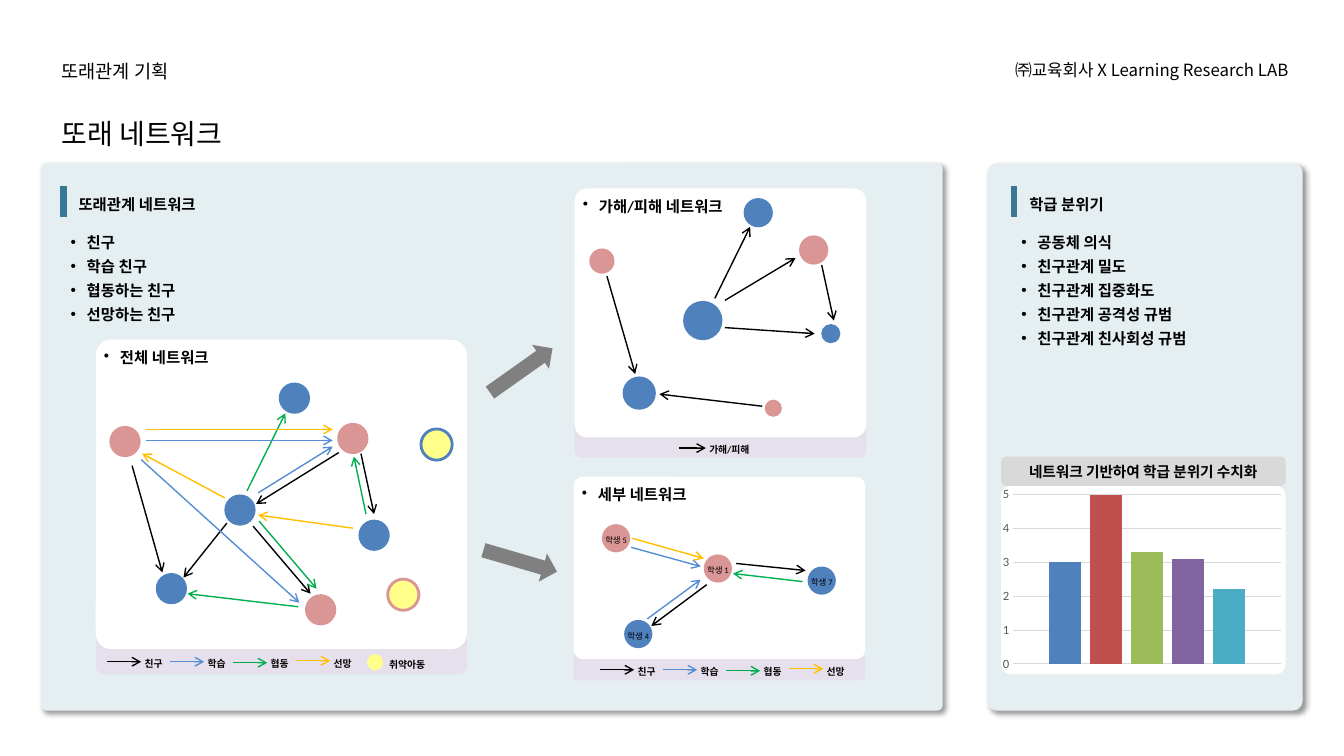
from dataclasses import dataclass

from lxml.etree import SubElement
from pptx import Presentation
from pptx.chart.data import CategoryChartData
from pptx.dml.color import RGBColor
from pptx.enum.chart import XL_CHART_TYPE as Chart, XL_TICK_MARK as Tick
from pptx.enum.shapes import MSO_CONNECTOR as Connector, MSO_SHAPE as Form
from pptx.enum.text import MSO_ANCHOR as Anchor, MSO_AUTO_SIZE as AutoSize, PP_ALIGN as Align
from pptx.oxml.ns import qn
from pptx.util import Inches, Pt


@dataclass(frozen=True)
class Theme:
    ink: str = "000000"
    panel: str = "E5EEF1"
    card: str = "FFFFFF"
    legend: str = "E6E0EC"
    accent: str = "387895"
    blue: str = "4F81BD"
    pink: str = "D99694"
    yellow: str = "FFFF89"
    gray: str = "808080"
    bar: str = "D9D9D9"
    axis: str = "595959"
    friend: str = "000000"
    study: str = "558ED5"
    help: str = "00B050"
    admire: str = "FFC000"
    series: tuple = ("4F81BD", "C0504D", "9BBB59", "8064A2", "4BACC6")
    font: str = "Calibri"
    korean: str = "Noto Sans CJK KR"
    title: float = 20
    section: float = 13.3
    credit: float = 12
    heading: float = 11
    caption: float = 10.5
    key: float = 7
    name: float = 6


THEME = Theme()
COLS, ROWS = 133.3, 75  # grid of 0.1 inch cells
CELL = Inches(0.1)
RELATIONS = [("친구", THEME.friend, 0), ("학습", THEME.study, 0),
             ("협동", THEME.help, 0.1), ("선망", THEME.admire, -0.1)]


def grid(*cells):
    return [round(cell * CELL) for cell in cells]


def rgb(color):
    return RGBColor.from_string(color)


def apply(target, formats):
    for name, value in formats.items():
        setattr(target, name, value)


def write(holder, lines, size, bold=False, font=THEME.font, align=Align.LEFT,
          anchor=Anchor.TOP, spacing=1.3, bullet=False, wrap=True):
    frame = holder.text_frame
    frame.text = "\n".join(lines)
    apply(frame, dict(margin_left=0, margin_right=0, margin_top=0, margin_bottom=0,
                      word_wrap=wrap, auto_size=AutoSize.NONE, vertical_anchor=anchor))
    for paragraph in frame.paragraphs:
        apply(paragraph, dict(alignment=align, line_spacing=spacing, space_before=Pt(0)))
        run = paragraph.runs[0]
        apply(run.font, dict(name=font, size=Pt(size), bold=bold))
        run.font.color.rgb = rgb(THEME.ink)
        SubElement(run.font._element, qn("a:ea"), typeface=THEME.korean)
        if bullet:
            props = paragraph._p.get_or_add_pPr()
            props.set("marL", str(Inches(0.16)))
            props.set("indent", str(-Inches(0.16)))
            SubElement(props, qn("a:buChar"), char="•")


def label(slide, box, text, size, **formats):
    write(slide.shapes.add_textbox(*grid(*box)), [text], size, **formats)


def fill_placeholder(slide, index, box, lines, size, **formats):
    holder = slide.placeholders[index]
    apply(holder, dict(zip(("left", "top", "width", "height"), grid(*box))))
    write(holder, lines, size, **formats)
    slide.shapes._spTree.append(holder._element)  # bring in front of the panel


def block(slide, form, box, fill=None, corner=None, outline=None, turn=0):
    item = slide.shapes.add_shape(form, *grid(*box))
    item.shadow.inherit = False
    item.rotation = turn
    if corner is not None:
        item.adjustments[0] = corner
    if fill:
        item.fill.solid()
        item.fill.fore_color.rgb = rgb(fill)
    else:
        item.fill.background()
    if outline:
        item.line.color.rgb = rgb(outline)
        item.line.width = Pt(2)
    else:
        item.line.fill.background()
    return item


def panel(slide, box, corner):
    item = block(slide, Form.ROUNDED_RECTANGLE, box, THEME.panel, corner)
    effects = item._element.spPr.find(qn("a:effectLst"))
    shadow = SubElement(effects, qn("a:outerShdw"), blurRad=str(Pt(4)), dist=str(Pt(3)),
                        dir=str(45 * 60000), algn="tl", rotWithShape="0")
    color = SubElement(shadow, qn("a:srgbClr"), val=THEME.ink)
    SubElement(color, qn("a:alpha"), val="40000")


def stroke(slide, start, end, color, width=1, arrow=True):
    line = slide.shapes.add_connector(Connector.STRAIGHT, *grid(*start, *end))
    line.line.color.rgb = rgb(color)
    line.line.width = Pt(width)
    if arrow:
        SubElement(line.line._get_or_add_ln(), qn("a:tailEnd"), type="arrow")
    SubElement(line._element.spPr, qn("a:effectLst"))


def heading(slide, left, text):
    stroke(slide, (left, 21.5), (left, 18.5), THEME.accent, 4.5, arrow=False)
    item = block(slide, Form.ROUNDED_RECTANGLE, (left + 1.4, 18.5, 23.1, 3), corner=0.1)
    write(item, [text], THEME.heading, bold=True, anchor=Anchor.MIDDLE)


def network_card(slide, box, footer, text):
    left, top, width, _ = box
    footer_top, footer_height = footer
    block(slide, Form.ROUNDED_RECTANGLE, (left, footer_top, width, footer_height),
          THEME.legend, 0.15)
    block(slide, Form.ROUNDED_RECTANGLE, box, THEME.card, 0.05)
    label(slide, (left + 0.8, top + 0.3, 15.5, 2.2), text, THEME.heading,
          bold=True, bullet=True)


def node(slide, x, y, size, fill, outline=None):
    block(slide, Form.FLOWCHART_CONNECTOR, (x - size / 2, y - size / 2, size, size),
          fill, outline=outline)


def network(slide, nodes, ties):
    for spot in nodes:
        node(slide, *spot)
    for x1, y1, x2, y2, color in ties:
        stroke(slide, (x1, y1), (x2, y2), color)


def legend_key(slide, left, top, text, color, drop=0, length=3.4):
    y = top + 0.75 + drop
    stroke(slide, (left, y), (left + length, y), color)
    label(slide, (left + length + 0.35, top, 5.3, 1.4), text, THEME.key, bold=True)


def relation_legend(slide, left, top):
    for i, (text, color, drop) in enumerate(RELATIONS):
        legend_key(slide, left + i * 6.25, top, text, color, drop)


def climate_chart(slide):
    data = CategoryChartData()
    data.categories = ["1"]
    for number, value in enumerate((3, 5, 3.3, 3.1, 2.2), 1):
        data.add_series(f"Series {number}", [value])
    chart = slide.shapes.add_chart(Chart.COLUMN_CLUSTERED, *grid(98.9, 47, 28.7, 20), data).chart
    apply(chart, dict(has_legend=False, has_title=False))
    apply(chart.font, dict(name=THEME.font, size=Pt(10)))
    chart.font.color.rgb = rgb(THEME.ink)
    apply(chart.plots[0], dict(gap_width=219, overlap=-27, vary_by_categories=False))
    for series, color in zip(chart.plots[0].series, THEME.series):
        series.format.fill.solid()
        series.format.fill.fore_color.rgb = rgb(color)
    chart.category_axis.visible = False
    axis = chart.value_axis
    apply(axis, dict(minimum_scale=0, maximum_scale=5.5, major_unit=1,
                     major_tick_mark=Tick.NONE, minor_tick_mark=Tick.NONE))
    axis.format.line.fill.background()
    axis.major_gridlines.format.line.color.rgb = rgb(THEME.bar)
    axis.major_gridlines.format.line.width = Pt(0.75)
    apply(axis.tick_labels.font, dict(name=THEME.font, size=Pt(9)))
    axis.tick_labels.font.color.rgb = rgb(THEME.axis)


def main():
    t = THEME
    deck = Presentation()
    deck.slide_width, deck.slide_height = grid(COLS, ROWS)
    slide = deck.slides.add_slide(deck.slide_layouts[3])

    # Header
    label(slide, (6.1, 5.6, 24.8, 2.6), "또래관계 기획", t.section, font=t.korean, spacing=1.16)
    label(slide, (95.6, 5.6, 32.2, 2.6), "㈜교육회사 X Learning Research LAB", t.credit,
          font=t.korean, align=Align.RIGHT, spacing=1.16)
    fill_placeholder(slide, 0, (6.1, 11, 21.5, 4.3), ["또래 네트워크"], t.title, spacing=1.16)

    # Panels with their lists
    panel(slide, (4.1, 16.2, 89.4, 54.3), 0.01)
    panel(slide, (97.9, 16.2, 31.3, 54.3), 0.03)
    heading(slide, 6.3, "또래관계 네트워크")
    heading(slide, 100.6, "학급 분위기")
    lists = dict(size=t.heading, bold=True, bullet=True)
    fill_placeholder(slide, 1, (7, 22.6, 19.5, 9.4),
                     ["친구", "학습 친구", "협동하는 친구", "선망하는 친구"], **lists)
    fill_placeholder(slide, 2, (101.3, 22.6, 19.5, 11.8),
                     ["공동체 의식", "친구관계 밀도", "친구관계 집중화도",
                      "친구관계 공격성 규범", "친구관계 친사회성 규범"], **lists)

    # Whole network
    network_card(slide, (9.5, 33.7, 36.8, 30.7), (61.7, 5.2), "전체 네트워크")
    pupils = [(37.1, 53.1, t.blue), (31.8, 60.5, t.pink), (23.8, 50.6, t.blue),
              (17, 58.4, t.blue), (12.4, 43.8, t.pink), (29.2, 39.5, t.blue),
              (35, 43.5, t.pink)]
    network(slide, [(x, y, 3.1, color) for x, y, color in pupils], [
        (33.6, 44.9, 25.4, 50, t.friend), (35, 52.4, 25.6, 51.1, t.admire),
        (24.5, 48.7, 28.3, 41, t.help), (22.3, 49.4, 14.1, 45, t.admire),
        (22.5, 51.9, 18.2, 57.3, t.friend), (25.1, 52.2, 30.8, 58.9, t.friend),
        (25.7, 51.7, 31.4, 58.4, t.help), (25.6, 48.9, 33, 44.3, t.study),
        (35.8, 45, 37.1, 51, t.friend), (36.3, 51, 35.1, 45.3, t.help),
        (29.6, 60.2, 18.6, 58.9, t.help), (13.1, 46.2, 16.1, 56.8, t.friend),
        (14, 45.6, 29.7, 59.8, t.study), (14.5, 43.7, 33, 43.7, t.study),
        (14.5, 42.6, 33, 42.6, t.admire)])
    node(slide, 40, 59, 3.1, t.yellow, t.pink)
    node(slide, 43.3, 44.1, 3.1, t.yellow, t.blue)
    relation_legend(slide, 10.6, 64.9)
    node(slide, 37.2, 65.7, 1.6, t.yellow)
    label(slide, (38.6, 65, 4.3, 1.4), "취약아동", t.key, bold=True)

    # Bullying network
    network_card(slide, (57, 18.7, 28.9, 24.7), (41.2, 4.2), "가해/피해 네트워크")
    network(slide, [
        (82.4, 33.1, 1.9, t.blue), (76.7, 40.5, 1.7, t.pink), (69.7, 31.8, 3.9, t.blue),
        (63.4, 39, 3.3, t.blue), (59.7, 25.9, 2.5, t.pink), (75.2, 21.1, 2.9, t.blue),
        (80.7, 24.8, 2.9, t.pink)], [
        (*tie, t.friend) for tie in [
            (71.9, 32.5, 80.8, 33.1), (70.9, 29.6, 74.4, 22.5), (71.9, 29.8, 78.9, 25.6),
            (81.5, 26.3, 82.7, 31.8), (75.6, 40.3, 65.4, 39.1), (60.2, 27.4, 63, 37.1)]])
    legend_key(slide, 67.3, 43.7, "가해/피해", t.friend, length=2.7)

    # Detail network
    network_card(slide, (56.9, 47.3, 28.9, 18.1), (64.8, 2.7), "세부 네트워크")
    students = [("학생 1", 71.2, 56.4, t.pink), ("학생 7", 81.5, 57.6, t.blue),
                ("학생 4", 63.3, 62.9, t.blue), ("학생 5", 61.1, 53.4, t.pink)]
    network(slide, [(x, y, 2.8, color) for _, x, y, color in students], [
        (70.1, 58, 64.6, 62.1, t.friend), (64.2, 61.4, 69.5, 57.5, t.study),
        (73, 55.9, 79.9, 56.6, t.friend), (79.6, 57.7, 72.7, 56.9, t.help),
        (62.6, 54.3, 69.5, 56.2, t.study), (62.7, 53.4, 69.8, 55.4, t.admire)])
    for name, x, y, _ in students:
        label(slide, (x - 1.25, y - 0.6, 2.5, 1.2), name, t.name, align=Align.CENTER, wrap=False)
    relation_legend(slide, 59.5, 65.7)

    # Arrows from the whole network to its parts
    for left, top, turn in ((47.9, 35.3, 324.7), (47.8, 54.2, 16.3)):
        block(slide, Form.RIGHT_ARROW, (left, top, 7.6, 2.9), t.gray, turn=turn)

    # Class climate scores
    block(slide, Form.ROUNDED_RECTANGLE, (99.3, 48.2, 28.2, 18.7), t.card, 0.05)
    caption = block(slide, Form.ROUNDED_RECTANGLE, (99.3, 45.3, 28.2, 2.9), t.bar)
    write(caption, ["네트워크 기반하여 학급 분위기 수치화"], t.caption, bold=True,
          align=Align.CENTER, anchor=Anchor.MIDDLE, spacing=1.0)
    climate_chart(slide)

    deck.save("out.pptx")


if __name__ == "__main__":
    main()
